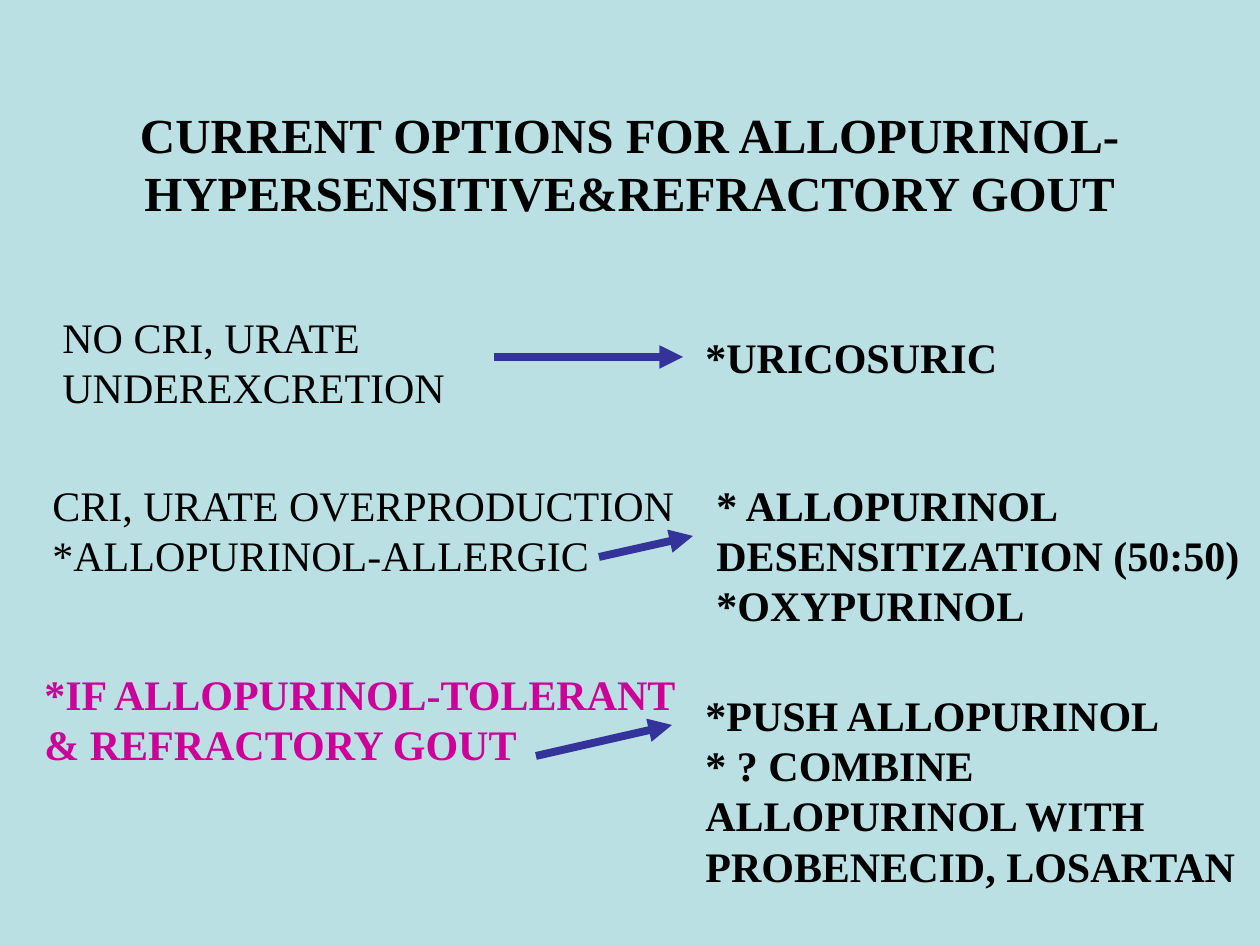
from pptx import Presentation
from pptx.dml.color import RGBColor
from pptx.enum.shapes import MSO_CONNECTOR
from pptx.enum.text import MSO_ANCHOR, MSO_AUTO_SIZE, PP_ALIGN
from pptx.oxml.ns import qn
from pptx.util import Emu, Pt
from lxml import etree

PX = 914400 // 126
FONT = "Times New Roman"
BACKGROUND = RGBColor(0xBB, 0xE0, 0xE3)
BLACK = RGBColor(0x00, 0x00, 0x00)
MAGENTA = RGBColor(0xCC, 0x00, 0x99)
NAVY = RGBColor(0x33, 0x33, 0x99)

STRAIGHT = MSO_CONNECTOR.STRAIGHT
LEFT, CENTER = PP_ALIGN.LEFT, PP_ALIGN.CENTER
TOP, MIDDLE = MSO_ANCHOR.TOP, MSO_ANCHOR.MIDDLE
FIT_SHAPE, NO_FIT = MSO_AUTO_SIZE.SHAPE_TO_FIT_TEXT, MSO_AUTO_SIZE.NONE


def px(*lengths):
    return [Emu(length * PX) for length in lengths]


def write(shape, lines, size=24, bold=False, color=BLACK, align=LEFT,
          anchor=TOP, wrap=True, fit=FIT_SHAPE):
    """Fill a shape with one paragraph per line, all in one format."""
    frame = shape.text_frame
    frame.text = "\n".join(lines)
    frame.word_wrap = wrap
    frame.auto_size = fit
    frame.vertical_anchor = anchor
    for paragraph in frame.paragraphs:
        paragraph.alignment = align
        font = paragraph.runs[0].font
        font.name, font.size, font.bold = FONT, Pt(size), bold
        font.color.rgb = color


def add_title(slide, box, line):
    title = slide.shapes.title
    title.left, title.top, title.width, title.height = px(*box)
    write(title, [line], size=28, bold=True, align=CENTER, anchor=MIDDLE,
          fit=NO_FIT)


def add_text(slide, box, lines, **text_format):
    write(slide.shapes.add_textbox(*px(*box)), lines, **text_format)


def add_arrow(slide, start, end):
    arrow = slide.shapes.add_connector(STRAIGHT, *px(*start, *end))
    arrow.line.color.rgb = NAVY
    arrow.line.width = Pt(4.5)
    outline = arrow.line._get_or_add_ln()
    etree.SubElement(outline, qn("a:tailEnd"), type="triangle")
    etree.SubElement(arrow._element.spPr, qn("a:effectLst"))


def main():
    prs = Presentation()
    prs.slide_width, prs.slide_height = px(1260, 945)
    slide = prs.slides.add_slide(prs.slide_layouts[5])
    slide.background.fill.solid()
    slide.background.fill.fore_color.rgb = BACKGROUND

    add_title(slide, (94, 84, 1071, 158),
              "CURRENT OPTIONS FOR ALLOPURINOL-HYPERSENSITIVE&REFRACTORY GOUT")

    # Patient situations
    add_text(slide, (50, 305, 643, 113), ["NO CRI, URATE UNDEREXCRETION"])
    add_text(slide, (40, 473, 653, 265),
             ["CRI, URATE OVERPRODUCTION", "*ALLOPURINOL-ALLERGIC"])
    add_text(slide, (32, 662, 660, 113),
             ["*IF ALLOPURINOL-TOLERANT", "& REFRACTORY GOUT"],
             bold=True, color=MAGENTA, wrap=False)

    # Treatment options
    options = [
        ((693, 325, 322, 113), ["*URICOSURIC"]),
        ((704, 473, 551, 164),
         ["* ALLOPURINOL", "DESENSITIZATION (50:50)", "*OXYPURINOL"]),
        ((693, 683, 559, 214),
         ["*PUSH ALLOPURINOL", "* ? COMBINE", "ALLOPURINOL WITH",
          "PROBENECID, LOSARTAN"]),
    ]
    for box, lines in options:
        add_text(slide, box, lines, bold=True, wrap=False)

    for start, end in [((494, 357), (683, 357)),
                       ((599, 557), (693, 536)),
                       ((536, 756), (672, 725))]:
        add_arrow(slide, start, end)

    prs.save("out.pptx")


if __name__ == "__main__":
    main()
